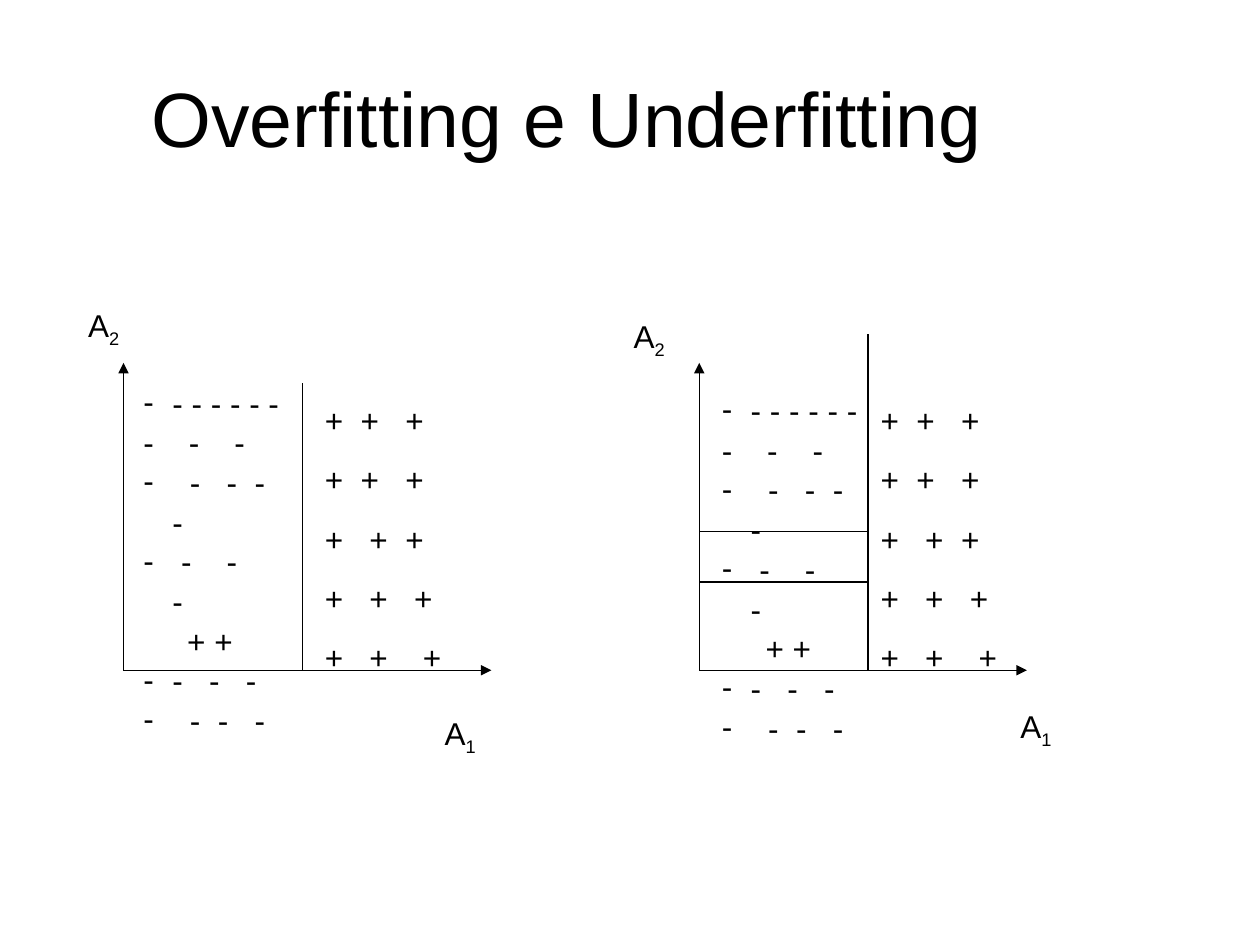
import pptx
import pptx.util
import pptx.dml.color
import pptx.enum.shapes
import pptx.enum.text
import pptx.oxml
import pptx.oxml.ns

Inches = pptx.util.Inches
Pt = pptx.util.Pt
HUES = {"ink": "000000", "page": "FFFFFF"}

# Each number is the gap, in spaces, before a mark of the row
MINUS = [
    (True, "-", (0, 1, 1, 1, 1, 1)),
    (False, "-", (0, 4, 4)),
    (True, "-", (2, 3, 2, 2)),
    (True, "-", (1, 4, 4)),
    (False, "+", (5, 1)),
    (True, "-", (0, 3, 3)),
    (True, "-", (2, 2, 3)),
]
PLUS = [
    (False, "+", gaps)
    for gaps in ((0, 2, 3), (0, 2, 3), (0, 3, 2), (0, 3, 3), (0, 3, 4))
]


class Deck:
    font = "Arial"
    size = 18
    space = 5  # width of one space at this size, in points
    hang = 0.23

    def __init__(self):
        self.prs = pptx.Presentation()
        self.prs.slide_width = Inches(10)
        self.prs.slide_height = Inches(7.5)
        self.slide = self.prs.slides.add_slide(self.prs.slide_layouts[5])
        fill = self.slide.background.fill
        fill.solid()
        fill.fore_color.rgb = self.hue("page")

    def hue(self, name):
        return pptx.dml.color.RGBColor.from_string(HUES[name])

    def apply(self, item, form):
        for key, value in form.items():
            setattr(item, key, value)

    def run(self, para, text, size=size):
        run = para.add_run()
        run.text = text
        self.apply(run.font, {"name": self.font, "size": Pt(size)})
        run.font.color.rgb = self.hue("ink")
        return run.font._element

    def title(self, text):
        head = self.slide.shapes.title
        self.apply(head, {"left": Inches(0), "top": Inches(0.3),
                          "width": Inches(9), "height": Inches(1.25)})
        head.text_frame.vertical_anchor = pptx.enum.text.MSO_ANCHOR.MIDDLE
        para = head.text_frame.paragraphs[0]
        para.alignment = pptx.enum.text.PP_ALIGN.CENTER
        self.run(para, text, 44)

    def box(self, left, top, width, height, wrap):
        box = self.slide.shapes.add_textbox(
            Inches(left), Inches(top), Inches(width), Inches(height))
        self.apply(box.text_frame, {
            "word_wrap": wrap,
            "auto_size": pptx.enum.text.MSO_AUTO_SIZE.SHAPE_TO_FIT_TEXT,
            "vertical_anchor": pptx.enum.text.MSO_ANCHOR.TOP})
        return box.text_frame

    def label(self, left, top, index):
        para = self.box(left, top, 0.45, 0.44, False).paragraphs[0]
        self.run(para, "A")
        self.run(para, index).set("baseline", "-25000")

    def bullet(self, para):
        props = para._p.get_or_add_pPr()
        props.set("marL", str(Inches(self.hang)))
        props.set("indent", str(-Inches(self.hang)))
        ns = pptx.oxml.ns.nsdecls("a")
        for part in (f'<a:buClr {ns}><a:srgbClr val="{HUES["ink"]}"/></a:buClr>',
                     f'<a:buFont {ns} typeface="{self.font}"/>',
                     f'<a:buChar {ns} char="-"/>'):
            props.append(pptx.oxml.parse_xml(part))

    def marks(self, left, top, width, height, rows, before=0):
        frame = self.box(left, top, width, height, True)
        for i, (dash, mark, gaps) in enumerate(rows):
            para = frame.add_paragraph() if i else frame.paragraphs[0]
            self.apply(para, {"line_spacing": 1.05, "space_before": Pt(before)})
            if dash:
                self.bullet(para)
            for gap in gaps:
                if gap:
                    extra = (gap - 1) * self.space * 100
                    self.run(para, " ").set("spc", str(extra))
                self.run(para, mark)

    def line(self, x1, y1, x2, y2, arrow=False):
        line = self.slide.shapes.add_connector(
            pptx.enum.shapes.MSO_CONNECTOR.STRAIGHT,
            Inches(x1), Inches(y1), Inches(x2), Inches(y2))
        line.line.width = Pt(0.75)
        line.line.color.rgb = self.hue("ink")
        ns = pptx.oxml.ns.nsdecls("a")
        if arrow:
            line.line._get_or_add_ln().append(
                pptx.oxml.parse_xml(f'<a:tailEnd {ns} type="triangle"/>'))
        line._element.spPr.append(pptx.oxml.parse_xml(f"<a:effectLst {ns}/>"))


def main():
    deck = Deck()
    deck.title("Overfitting e Underfitting")
    base = 5.32

    # Axes
    for left, right in ((0.98, 3.9), (5.55, 8.15)):
        deck.line(left, base, right, base, True)
        deck.line(left, base, left, 2.88, True)

    # Class borders
    for x, top in ((2.4, 3.04), (6.89, 2.65)):
        deck.line(x, base, x, top)
    for y in (4.22, 4.62):
        deck.line(5.55, y, 6.89, y)

    # Axis names
    for left, top, index in ((0.6, 2.38, "2"), (3.43, 5.62, "1"),
                             (4.93, 2.47, "2"), (8, 5.56, "1")):
        deck.label(left, top, index)

    # Samples
    for left, top in ((1.04, 2.98), (5.63, 3.04)):
        deck.marks(left, top, 1.29, 2.2, MINUS)
    for left in (2.48, 6.89):
        deck.marks(left, 3.12, 1.34, 2.23, PLUS, 11.2)

    deck.prs.save("out.pptx")


if __name__ == "__main__":
    main()
